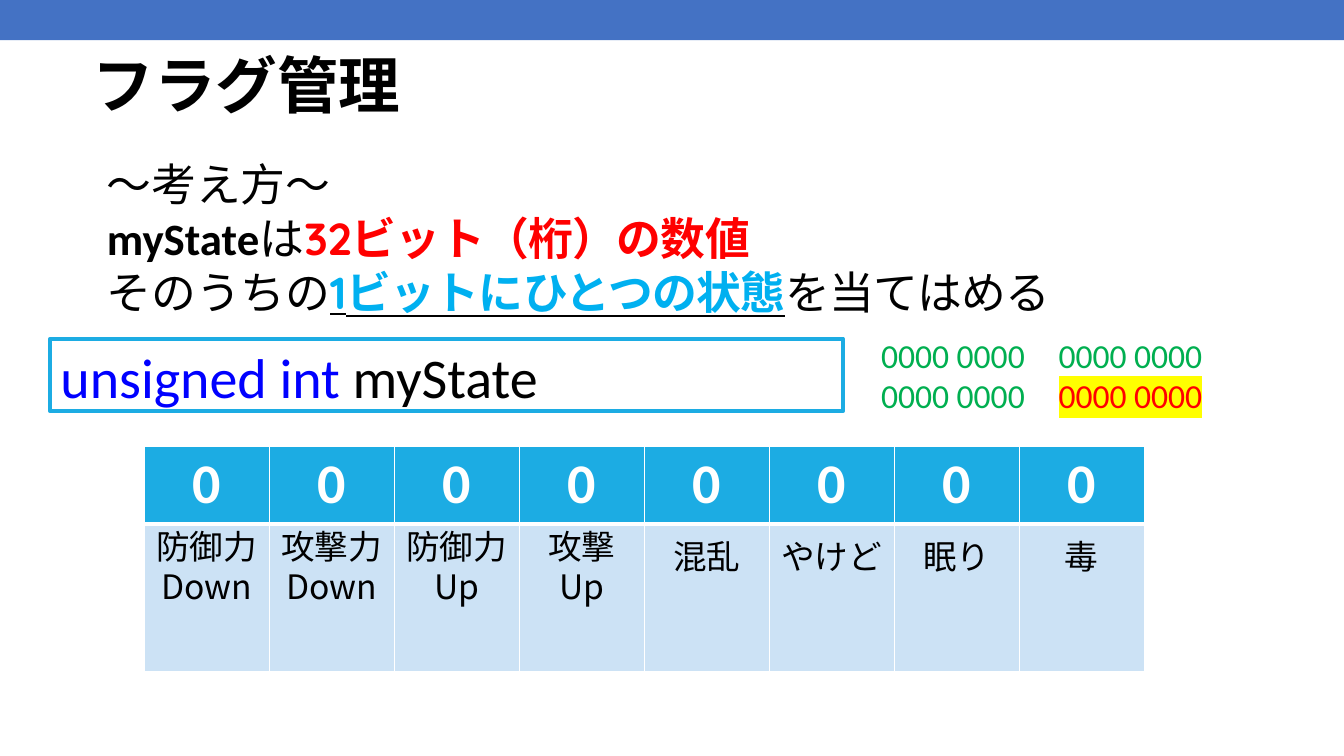
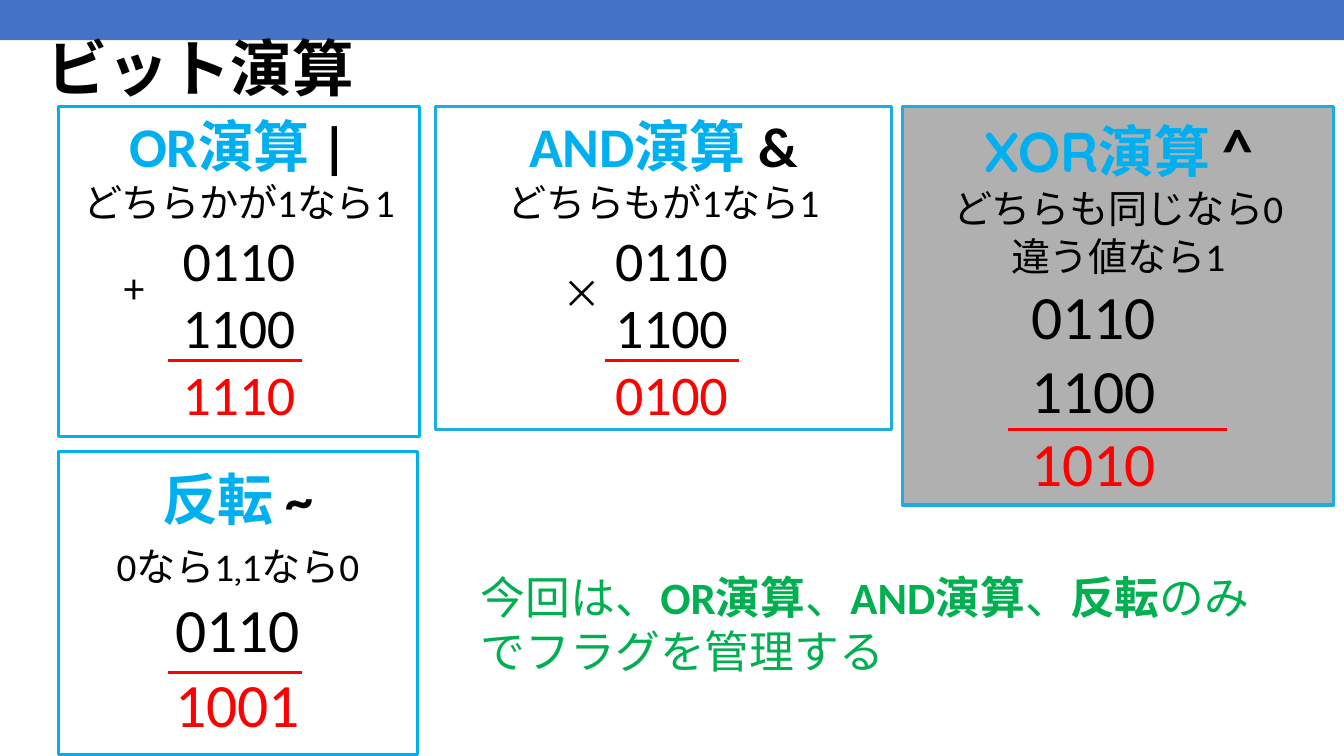
from lxml.etree import SubElement
from pptx import Presentation
from pptx.dml.color import RGBColor
from pptx.enum.shapes import MSO_CONNECTOR, MSO_SHAPE
from pptx.enum.text import MSO_ANCHOR, PP_ALIGN
from pptx.oxml.ns import qn
from pptx.util import Inches, Pt

JAPANESE, LATIN, ROUNDED = "Noto Sans CJK JP", "Calibri", "Quicksand"
BLACK, WHITE, RED, BLUE = "000000", "FFFFFF", "FF0000", "0000FF"
BAND, CYAN, SKY, HEADING = "4472C4", "1CACE3", "00B0F0", "00AFEF"
PALE, GREY, GREEN, LEAF, YELLOW = "CCE2F5", "B0B0B0", "00B050", "00AF50", "FFFF00"
BLANK_LAYOUT = 6
CENTER = {"alignment": PP_ALIGN.CENTER}


def rgb(color):
    return RGBColor.from_string(color)


# ---- Text ----
def add_color_element(parent, tag, color):
    return SubElement(SubElement(parent, qn(tag)), qn("a:srgbClr"), val=color)


def run_format(size, font=JAPANESE, color=BLACK, **extra):
    return {"size": Pt(size), "name": font, "color": color, **extra}


def add_run(paragraph, text, values):
    values = dict(values)
    run = paragraph.add_run()
    run.text = text
    properties = run._r.get_or_add_rPr()
    run.font.color.rgb = rgb(values.pop("color"))
    if "spacing" in values:
        properties.set("spc", str(round(values.pop("spacing") * 100)))
    if "highlight" in values:
        add_color_element(properties, "a:highlight", values.pop("highlight"))
    if values.get("underline"):
        underline_fill = SubElement(properties, qn("a:uFill"))
        add_color_element(underline_fill, "a:solidFill", BLACK)
    for name, value in values.items():
        setattr(run.font, name, value)
    SubElement(properties, qn("a:ea"), typeface=JAPANESE)


def write_text(frame, paragraphs):
    """Each paragraph is (runs, format values); each run is (text, format values)."""
    for index, (runs, values) in enumerate(paragraphs):
        paragraph = frame.add_paragraph() if index else frame.paragraphs[0]
        values = dict(values)
        for side in ("marL", "marR"):
            if side in values:
                paragraph._p.get_or_add_pPr().set(side, str(Inches(values.pop(side))))
        for name, value in values.items():
            setattr(paragraph, name, value)
        for text, font_values in runs:
            add_run(paragraph, text, font_values)


def set_frame(frame, paragraphs, top=None, anchor=MSO_ANCHOR.TOP, wrap=True):
    """With a top inset the other three insets are zero."""
    frame.word_wrap = wrap
    frame.vertical_anchor = anchor
    if top is not None:
        insets = {"margin_left": 0, "margin_top": Inches(top), "margin_right": 0, "margin_bottom": 0}
        for name, value in insets.items():
            setattr(frame, name, value)
    write_text(frame, paragraphs)


def add_text(slide, box, paragraphs, **frame_values):
    shape = slide.shapes.add_textbox(*map(Inches, box))
    set_frame(shape.text_frame, paragraphs, **frame_values)


# ---- Shapes ----
def add_box(slide, box, fill=None, line=None, width=2.25):
    shape = slide.shapes.add_shape(MSO_SHAPE.RECTANGLE, *map(Inches, box))
    shape.shadow.inherit = False
    if fill:
        shape.fill.solid()
        shape.fill.fore_color.rgb = rgb(fill)
    else:
        shape.fill.background()
    if line:
        shape.line.color.rgb = rgb(line)
        shape.line.width = Pt(width)
    else:
        shape.line.fill.background()
    return shape


def add_sum_line(slide, left, top, length):
    ends = map(Inches, (left, top, left + length, top))
    connector = slide.shapes.add_connector(MSO_CONNECTOR.STRAIGHT, *ends)
    connector.line.color.rgb = rgb(RED)
    connector.line.width = Pt(2.25)
    SubElement(connector._element.spPr, qn("a:effectLst"))


def add_titled_slide(presentation, title, title_box):
    slide = presentation.slides.add_slide(presentation.slide_layouts[BLANK_LAYOUT])
    add_box(slide, (0, 0, 13.33, 0.4), BAND)
    title_format = run_format(44, bold=True, spacing=-0.1)
    add_text(slide, title_box, [([(title, title_format)], {"space_before": Pt(1)})],
             top=0.01, anchor=MSO_ANCHOR.MIDDLE)
    return slide


# ---- Flag slide ----
def set_cell_borders(cell, top, bottom):
    properties = cell._tc.get_or_add_tcPr()
    widths = {"a:lnL": 1, "a:lnR": 1, "a:lnT": top, "a:lnB": bottom}
    for index, (tag, width) in enumerate(widths.items()):
        border = properties.makeelement(qn(tag), {"w": str(Pt(width))})
        add_color_element(border, "a:solidFill", WHITE)
        properties.insert(index, border)


def add_flag_table(slide, box, flags):
    row_heights = (0.77, 1.46)
    table = slide.shapes.add_table(2, len(flags), *map(Inches, box)).table
    for row, height in zip(table.rows, row_heights):
        row.height = Inches(height)
    bit = run_format(40, LATIN, WHITE, bold=True, spacing=-0.5)
    name = run_format(24, spacing=-0.2)
    for index, flag in enumerate(flags):
        table.columns[index].width = Inches(box[2] / len(flags))
        lines = flag.split("\n")
        label = []
        for number, line in enumerate(lines):
            values = {**CENTER, "space_before": Pt(0 if number else 4)}
            if len(lines) > 1:
                values["line_spacing"] = Pt(28.2)
            label.append(([(line, name)], values))
        header = [([("0", bit)], {**CENTER, "space_before": Pt(3)})]
        rows = ((header, CYAN, 0.04, 1, 3), (label, PALE, 0.06, 3, 1))
        for row, (paragraphs, fill, inset, top, bottom) in enumerate(rows):
            cell = table.cell(row, index)
            cell.fill.solid()
            cell.fill.fore_color.rgb = rgb(fill)
            set_cell_borders(cell, top, bottom)
            cell.margin_left = cell.margin_right = cell.margin_bottom = 0
            cell.margin_top = Inches(inset)
            write_text(cell.text_frame, paragraphs)


def build_flag_slide(presentation):
    slide = add_titled_slide(presentation, "フラグ管理", (0.92, 0.45, 11.5, 0.75))
    add_flag_table(slide, (1.43, 4.43, 9.92, 2.23), (
        "防御力\nDown", "攻撃力\nDown", "防御力\nUp", "攻撃\nUp", "混乱", "やけど", "眠り", "毒"))

    # Declaration
    declaration = add_box(slide, (0.5, 3.36, 7.86, 0.72), line=CYAN, width=3)
    set_frame(declaration.text_frame, [([
        ("unsigned int ", run_format(40, LATIN, BLUE)),
        ("myState", run_format(40, LATIN)),
    ], {"alignment": PP_ALIGN.LEFT, "marL": 0.1, "space_before": Pt(3)})], top=0.04)

    # Idea
    plain = run_format(32, spacing=-0.2)
    red = {"color": RED, "bold": True}
    sky = {"color": SKY, "bold": True, "underline": True}
    idea = (
        [("～考え方～", plain)],
        [("myState", run_format(32, LATIN, bold=True)), ("は", plain),
         ("32", run_format(32, ROUNDED, **red)),
         ("ビット（桁）の数値", run_format(32, spacing=-0.5, **red))],
        [("そのうちの", plain), ("1", run_format(32, ROUNDED, **sky)),
         ("ビットにひとつの状態", run_format(32, spacing=-0.5, **sky)),
         ("を当てはめる", run_format(32, spacing=-0.5))],
    )
    add_text(slide, (1.05, 1.55, 9.62, 1.63),
             [(runs, {"marL": 0.01, "space_before": Pt(0 if index else 1)})
              for index, runs in enumerate(idea)], top=0.01)

    # 32 bits, the last eight marked
    bits = run_format(24, LATIN, LEAF)
    marked = run_format(24, LATIN, RED, highlight=YELLOW)
    add_text(slide, (8.64, 3.27, 4.13, 0.91), [
        ([("0000 0000　0000 0000", bits)], {}),
        ([("0000 0000　", bits), ("0000 0000", marked)], {}),
    ], wrap=False)


# ---- Bit operation slide ----
def add_operation(slide, box, name, symbol, rule, numbers, line_at, line=CYAN, fill=None,
                  inset=0.05, heading_before=3, symbol_size=40, rule_values=None,
                  number_size=40, number_values=None):
    """Card with a heading, a rule and a sum; line_at is the red line's place in the box."""
    left, top = box[:2]
    card = add_box(slide, box, fill, line)
    heading = [(text, run_format(40, font, HEADING, bold=True, spacing=-0.3)) for text, font in name]
    heading.append((symbol, run_format(symbol_size, LATIN, bold=True)))
    paragraphs = [
        (heading, {**CENTER, "space_before": Pt(heading_before)}),
        ([(text, run_format(28, font, spacing=-0.3)) for text, font in rule],
         {**CENTER, **(rule_values or {})}),
    ]
    for number in numbers:
        color = RED if number == numbers[-1] else BLACK
        paragraphs.append(([(number, run_format(number_size, LATIN, color, spacing=-0.2))],
                           {**CENTER, **(number_values or {})}))
    set_frame(card.text_frame, paragraphs, top=inset)
    offset_x, offset_y, length = line_at
    add_sum_line(slide, left + offset_x, top + offset_y, length)


def build_operation_slide(presentation):
    slide = add_titled_slide(presentation, "ビット演算", (0.46, 0.28, 3.4, 0.76))
    operation = ("演算 ", JAPANESE)
    one, zero, becomes = ("1", LATIN), ("0", LATIN), ("なら", JAPANESE)
    tight = {"line_spacing": Pt(33.4)}

    add_operation(slide, (0.58, 1.06, 3.58, 3.27), [("OR", LATIN), operation], "|",
                  [("どちらかが", JAPANESE), one, becomes, one], ("0110", "1100", "1110"),
                  (1.09, 2.52, 1.33), line=SKY, fill=WHITE, rule_values=tight,
                  number_values={"line_spacing": Pt(47.8)})
    add_operation(slide, (4.32, 1.06, 4.52, 3.2), [("AND", LATIN), operation], "&",
                  [("どちらもが", JAPANESE), one, becomes, one], ("0110", "1100", "0100"),
                  (1.68, 2.52, 1.33), rule_values=tight,
                  number_values={"marL": 0.16, "line_spacing": Pt(47.8)})
    add_operation(slide, (8.95, 1.06, 4.28, 3.95), [("XOR", ROUNDED), operation], "^",
                  [("どちらも同じなら", JAPANESE), zero, ("違う値なら", JAPANESE), one],
                  ("0110", "1100", "1010"), (1.05, 3.2, 2.17), fill=GREY, inset=0.04,
                  symbol_size=44, rule_values={"marL": 0.47, "marR": 0.47}, number_size=44,
                  number_values={"marR": 0.48, "line_spacing": Pt(52.3)})
    add_operation(slide, (0.58, 4.48, 3.56, 3.01), [("反転 ", JAPANESE)], "~",
                  [zero, becomes, one, (",", ROUNDED), one, becomes, zero], ("0110", "1001"),
                  (1.09, 2.19, 1.33), line=SKY, inset=0.13, heading_before=9.4,
                  rule_values={"space_before": Pt(7.6)}, number_size=44,
                  number_values={"space_before": Pt(1)})

    # Signs beside the sums
    for sign, left, top in (("+", 1.13, 2.58), ("×", 5.48, 2.62)):
        add_text(slide, (left, top, 0.53, 0.57), [([(sign, run_format(28))], {})], wrap=False)

    # Conclusion, with the operations in bold
    parts = ("今回は、", "OR演算", "、", "AND演算", "、", "反転", "のみでフラグを管理する")
    add_text(slide, (4.67, 5.6, 7.92, 1.18), [(
        [(part, run_format(32, LATIN, GREEN, bold=index % 2 == 1))
         for index, part in enumerate(parts)], {})])


def main():
    presentation = Presentation()
    presentation.slide_width = Inches(13.33)
    presentation.slide_height = Inches(7.5)
    build_flag_slide(presentation)
    build_operation_slide(presentation)
    presentation.save("out.pptx")


if __name__ == "__main__":
    main()
